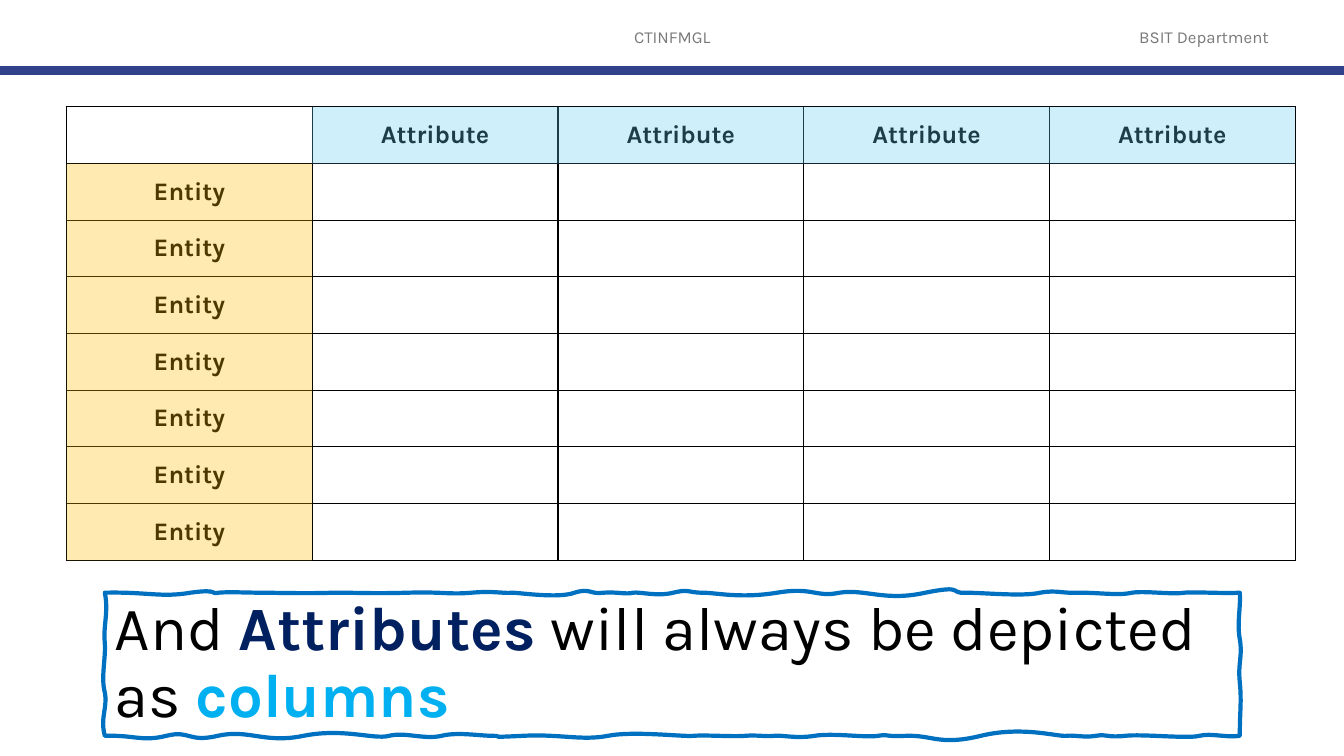
from dataclasses import dataclass

from lxml import etree
from pptx import Presentation
from pptx.dml.color import RGBColor
from pptx.enum import shapes, text
from pptx.oxml import ns
from pptx.util import Inches, Pt


@dataclass(frozen=True)
class Theme:
    """Colours, font and type sizes of the slide."""
    font: str = "Karla"
    black: str = "000000"
    header_grey: str = "797979"
    rule_blue: str = "32418C"
    entity_gold: str = "FFC000"
    attribute_sky: str = "61CBF4"
    frame_blue: str = "0070C0"
    navy: str = "002060"
    cyan: str = "00B0F0"
    header_size: int = 12
    label_size: int = 18
    statement_size: int = 44


THEME = Theme()
SLIDE_WIDTH, SLIDE_HEIGHT = 40 / 3, 7.5
COLUMNS, ROWS = 5, 8
GRID_LEFT, GRID_TOP, GRID_WIDTH, GRID_HEIGHT = 0.66, 1.06, 12.19, 4.5
COLUMN_WIDTH, ROW_HEIGHT = GRID_WIDTH / COLUMNS, GRID_HEIGHT / ROWS
FRAME_LEFT, FRAME_TOP, FRAME_RIGHT, FRAME_BOTTOM = 1.04, 5.88, 12.3, 7.3

# Each horizontal curve holds control x, y, control x, y and end x.
TOP_CURVES = [
    (1.46, 5.87, 1.6, 5.93, 1.89), (2.18, 5.84, 2.08, 5.9, 2.17),
    (2.27, 5.87, 2.44, 5.88, 2.58), (2.71, 5.88, 3.05, 5.89, 3.31),
    (3.58, 5.88, 3.69, 5.89, 4.05), (4.41, 5.87, 4.45, 5.9, 4.68),
    (4.9, 5.86, 5, 5.89, 5.08), (5.16, 5.88, 5.54, 5.94, 5.7),
    (5.86, 5.83, 5.85, 5.9, 5.99), (6.13, 5.87, 6.21, 5.9, 6.28),
    (6.35, 5.87, 6.52, 5.92, 6.68), (6.84, 5.84, 6.82, 5.88, 6.97),
    (7.11, 5.88, 7.34, 5.94, 7.71), (8.07, 5.82, 8.09, 5.93, 8.33),
    (8.58, 5.84, 8.78, 5.97, 9.18), (9.58, 5.8, 9.41, 5.89, 9.58),
    (9.76, 5.88, 10.15, 5.92, 10.32), (10.49, 5.85, 10.53, 5.89, 10.72),
    (10.91, 5.88, 11.11, 5.91, 11.23), (11.36, 5.86, 11.63, 5.9, 11.75),
    (11.86, 5.87, 12.14, 5.89, 12.3),
]
BOTTOM_CURVES = [
    (12.16, 7.32, 12.01, 7.27, 11.9), (11.78, 7.33, 11.33, 7.28, 11.16),
    (10.98, 7.32, 10.99, 7.28, 10.87), (10.75, 7.32, 10.67, 7.29, 10.58),
    (10.49, 7.31, 10.14, 7.2, 9.73), (9.32, 7.4, 9.25, 7.29, 8.99),
    (8.74, 7.31, 8.84, 7.28, 8.71), (8.58, 7.32, 8.27, 7.27, 8.08),
    (7.89, 7.33, 7.76, 7.29, 7.68), (7.6, 7.31, 7.51, 7.29, 7.39),
    (7.27, 7.31, 6.99, 7.29, 6.88), (6.77, 7.31, 6.29, 7.25, 6.03),
    (5.77, 7.35, 5.56, 7.28, 5.18), (4.79, 7.32, 5.02, 7.3, 4.89),
    (4.76, 7.3, 4.54, 7.26, 4.38), (4.21, 7.34, 4.02, 7.26, 3.86),
    (3.71, 7.34, 3.41, 7.22, 3.01), (2.62, 7.38, 2.47, 7.23, 2.16),
    (1.86, 7.37, 1.89, 7.24, 1.65), (1.41, 7.36, 1.33, 7.29, 1.04),
]
# Each vertical curve holds control x, y, control x, y and end y.
RIGHT_CURVES = [(12.31, 6.05, 12.27, 6.18, 6.34), (12.33, 6.51, 12.28, 6.57, 6.77),
                (12.32, 6.97, 12.3, 7.04, 7.3)]
LEFT_CURVES = [(0.99, 7.12, 1.07, 7.02, 6.87), (1, 6.72, 1.05, 6.54, 6.38),
               (1.02, 6.23, 1.08, 6.07, 5.88)]


def rgb(colour):
    """Turn a hex string into a colour."""
    return RGBColor.from_string(colour)


def add_run(paragraph, words, size, colour, bold=False):
    """Append one formatted run."""
    run = paragraph.add_run()
    run.text = words
    run.font.name = THEME.font
    run.font.size = Pt(size)
    run.font.bold = bold
    run.font.color.rgb = rgb(colour)


def add_header(slide, left, width, words):
    """Add a centred label above the rule."""
    frame = slide.shapes.add_textbox(
        Inches(left), Inches(0.17), Inches(width), Inches(0.4)).text_frame
    frame.word_wrap = True
    frame.vertical_anchor = text.MSO_ANCHOR.MIDDLE
    frame.paragraphs[0].alignment = text.PP_ALIGN.CENTER
    add_run(frame.paragraphs[0], words, THEME.header_size, THEME.header_grey)


def add_rule(slide):
    """Draw the full-width rule under the header."""
    rule = slide.shapes.add_connector(
        shapes.MSO_CONNECTOR.STRAIGHT, 0, Inches(0.7), Inches(SLIDE_WIDTH), Inches(0.7))
    rule.line.color.rgb = rgb(THEME.rule_blue)
    rule.line.width = Pt(6)
    etree.SubElement(rule.element.spPr, ns.qn("a:effectLst"))


def border_cell(cell):
    """Give a cell thin black borders and no fill."""
    properties = cell._tc.get_or_add_tcPr()
    for side in ("a:lnL", "a:lnR", "a:lnT", "a:lnB"):
        edge = etree.SubElement(properties, ns.qn(side), w=str(Pt(1)))
        fill = etree.SubElement(edge, ns.qn("a:solidFill"))
        etree.SubElement(fill, ns.qn("a:srgbClr"), val=THEME.black)
    cell.fill.background()


def add_grid(slide):
    """Add the table of entities and attributes."""
    grid = slide.shapes.add_table(
        ROWS, COLUMNS, Inches(GRID_LEFT), Inches(GRID_TOP),
        Inches(GRID_WIDTH), Inches(GRID_HEIGHT)).table
    grid.first_row = grid.horz_banding = False
    for row in range(ROWS):
        for column in range(COLUMNS):
            cell = grid.cell(row, column)
            border_cell(cell)
            cell.vertical_anchor = text.MSO_ANCHOR.MIDDLE
            label = cell.text_frame.paragraphs[0]
            label.alignment = text.PP_ALIGN.CENTER
            if (row == 0) != (column == 0):
                words = "Attribute" if row == 0 else "Entity"
                add_run(label, words, THEME.label_size, THEME.black, bold=True)


def add_tint(slide, left, top, width, height, colour):
    """Lay a translucent highlight over part of the grid."""
    tint = slide.shapes.add_shape(
        shapes.MSO_SHAPE.RECTANGLE,
        Inches(left), Inches(top), Inches(width), Inches(height))
    tint.shadow.inherit = False
    tint.line.fill.background()
    tint.fill.solid()
    tint.fill.fore_color.rgb = rgb(colour)
    shade = tint.element.spPr.find(".//" + ns.qn("a:srgbClr"))
    etree.SubElement(shade, ns.qn("a:alpha"), val="30000")


def frame_curves():
    """List the frame's curves clockwise as pairs of controls and an end."""
    curves = [(*c, FRAME_TOP) for c in TOP_CURVES]
    curves += [(*c[:4], FRAME_RIGHT, c[4]) for c in RIGHT_CURVES]
    curves += [(*c, FRAME_BOTTOM) for c in BOTTOM_CURVES]
    curves += [(*c[:4], FRAME_LEFT, c[4]) for c in LEFT_CURVES]
    return curves


def add_wavy_frame(slide):
    """Build the frame from its corner points and bend each segment."""
    curves = frame_curves()
    builder = slide.shapes.build_freeform(Inches(FRAME_LEFT), Inches(FRAME_TOP))
    builder.add_line_segments(
        [(Inches(x), Inches(y)) for *_, x, y in curves], close=True)
    wavy = builder.convert_to_shape()
    segments = list(wavy.element.iter(ns.qn("a:lnTo")))
    for segment, (ax, ay, bx, by, _, _) in zip(segments, curves):
        bend = etree.Element(ns.qn("a:cubicBezTo"))
        for x, y in ((ax, ay), (bx, by)):
            etree.SubElement(bend, ns.qn("a:pt"), x=str(Inches(x) - wavy.left),
                             y=str(Inches(y) - wavy.top))
        segment.getparent().replace(segment, bend)
        bend.append(segment[0])
    return wavy


def add_statement(slide):
    """Add the wavy frame with its statement."""
    statement = add_wavy_frame(slide)
    statement.shadow.inherit = False
    statement.fill.background()
    statement.line.color.rgb = rgb(THEME.frame_blue)
    statement.line.width = Pt(3)
    frame = statement.text_frame
    frame.word_wrap = True
    frame.vertical_anchor = text.MSO_ANCHOR.TOP
    sentence = frame.paragraphs[0]
    sentence.alignment = text.PP_ALIGN.LEFT
    sentence.line_spacing = 0.9
    for words, colour, bold in (
            ("And ", THEME.black, False), ("Attributes", THEME.navy, True),
            (" will always be depicted as ", THEME.black, False),
            ("columns", THEME.cyan, True)):
        add_run(sentence, words, THEME.statement_size, colour, bold)


def main():
    """Build and save the slide."""
    deck = Presentation()
    deck.slide_width, deck.slide_height = Inches(SLIDE_WIDTH), Inches(SLIDE_HEIGHT)
    slide = deck.slides.add_slide(deck.slide_layouts[6])
    add_header(slide, 4.42, 4.5, "CTINFMGL")
    add_header(slide, 10.92, 2.05, "BSIT Department")
    add_rule(slide)
    add_grid(slide)
    add_tint(slide, GRID_LEFT, GRID_TOP + ROW_HEIGHT, COLUMN_WIDTH,
             GRID_HEIGHT - ROW_HEIGHT, THEME.entity_gold)
    add_tint(slide, GRID_LEFT + COLUMN_WIDTH, GRID_TOP,
             GRID_WIDTH - COLUMN_WIDTH, ROW_HEIGHT, THEME.attribute_sky)
    add_statement(slide)
    deck.save("out.pptx")


if __name__ == "__main__":
    main()
